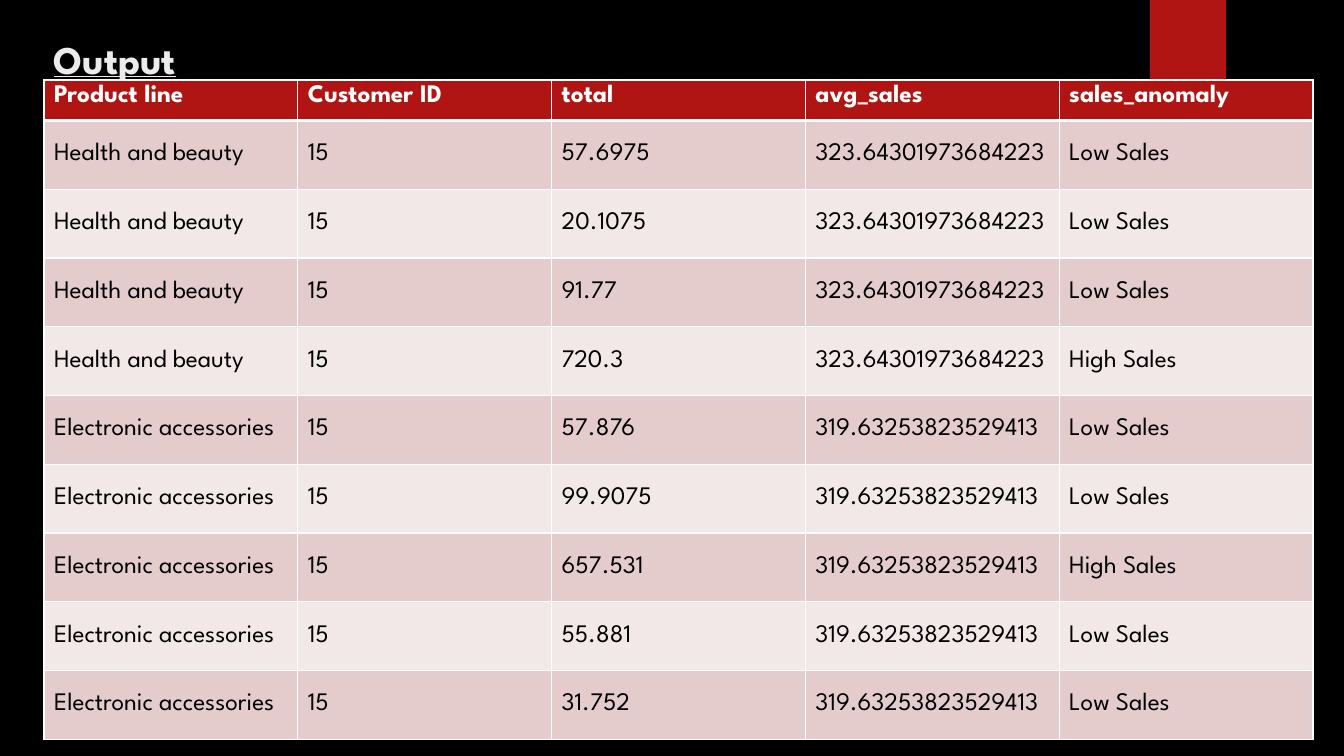
import pptx
import pptx.util
import pptx.dml.color
import pptx.enum.shapes
import pptx.enum.text
import pptx.oxml

RGBColor = pptx.dml.color.RGBColor
Anchor = pptx.enum.text.MSO_ANCHOR

SCALE = 914400 / 100.8
FONT = "League Spartan"
BLACK = RGBColor(0x00, 0x00, 0x00)
WHITE = RGBColor(0xFF, 0xFF, 0xFF)
PALE = RGBColor(0xEB, 0xEB, 0xEB)
RED = RGBColor(0xB0, 0x15, 0x13)
ROSE = RGBColor(0xE4, 0xCC, 0xCC)
BLUSH = RGBColor(0xF2, 0xE8, 0xE7)

HEADS = ["Product line", "Customer ID", "total", "avg_sales", "sales_anomaly"]
GROUPS = [
    ("Health and beauty", "323.64301973684223", [
        ("57.6975", "Low"), ("20.1075", "Low"), ("91.77", "Low"),
        ("720.3", "High")]),
    ("Electronic accessories", "319.63253823529413", [
        ("57.876", "Low"), ("99.9075", "Low"), ("657.531", "High"),
        ("55.881", "Low"), ("31.752", "Low")]),
]


def px(count):
    return pptx.util.Emu(round(count * SCALE))


def write(frame, text, size=18, color=BLACK, bold=False, line=False):
    run = frame.paragraphs[0].add_run()
    run.text = text
    font = run.font
    font.name = FONT
    font.size = pptx.util.Pt(size)
    font.color.rgb = color
    font.bold = bold
    font.underline = line


def add_title(slide, text, left, top, width, height):
    frame = slide.shapes.add_textbox(
        px(left), px(top), px(width), px(height)).text_frame
    frame.word_wrap = True
    frame.vertical_anchor = Anchor.MIDDLE
    write(frame, text, size=28, color=PALE, bold=True, line=True)


def add_tab(slide, left, top, width, height):
    """Add the red bar that hangs from the top edge."""
    tab = slide.shapes.add_shape(
        pptx.enum.shapes.MSO_SHAPE.RECTANGLE,
        px(left), px(top), px(width), px(height))
    tab.shadow.inherit = False
    tab.fill.solid()
    tab.fill.fore_color.rgb = RED
    tab.line.fill.background()


def set_edges(cell, base):
    """Draw white borders, 1 pt wide save for the given base width."""
    props = cell._tc.get_or_add_tcPr()
    widths = {"lnL": 1, "lnR": 1, "lnT": 1, "lnB": base}
    for spot, (tag, width) in enumerate(widths.items()):
        edge = pptx.oxml.parse_xml(
            f'<a:{tag} xmlns:a="http://schemas.openxmlformats.org/drawingml/2006/main"'
            f' w="{pptx.util.Pt(width)}"><a:solidFill><a:srgbClr val="{WHITE}"/>'
            f'</a:solidFill></a:{tag}>')
        props.insert(spot, edge)


def fill_cell(cell, text, fill, head):
    cell.fill.solid()
    cell.fill.fore_color.rgb = fill
    cell.vertical_anchor = Anchor.TOP if head else Anchor.MIDDLE
    write(cell.text_frame, text, color=WHITE if head else BLACK, bold=head)
    set_edges(cell, 3 if head else 1)


def add_grid(slide, rows, left, top, width, head, body):
    """Add the table; head and body are the heights of its two parts."""
    table = slide.shapes.add_table(
        len(rows), len(HEADS), px(left), px(top),
        px(width), px(head + body)).table
    for column in table.columns:
        column.width = px(width / len(HEADS))
    for r, texts in enumerate(rows):
        table.rows[r].height = px(body / (len(rows) - 1) if r else head)
        fill = (ROSE if r % 2 else BLUSH) if r else RED
        for c, text in enumerate(texts):
            fill_cell(table.cell(r, c), text, fill, r == 0)
    # The second row starts below the thick header rule.
    for c in range(len(HEADS)):
        props = table.cell(1, c)._tc.tcPr
        props[2].set("w", str(pptx.util.Pt(3)))


def main():
    deck = pptx.Presentation()
    deck.slide_width, deck.slide_height = px(1344), px(756)
    slide = deck.slides.add_slide(deck.slide_layouts[6])
    slide.background.fill.solid()
    slide.background.fill.fore_color.rgb = BLACK
    rows = [HEADS] + [
        [line, "15", total, mean, f"{level} Sales"]
        for line, mean, sales in GROUPS for total, level in sales]
    add_tab(slide, 1150, 0, 76, 126)
    add_title(slide, "Output", 44, 23, 154, 71)
    add_grid(slide, rows, 44, 80, 1269, 39, 619)
    deck.save("out.pptx")


if __name__ == "__main__":
    main()
